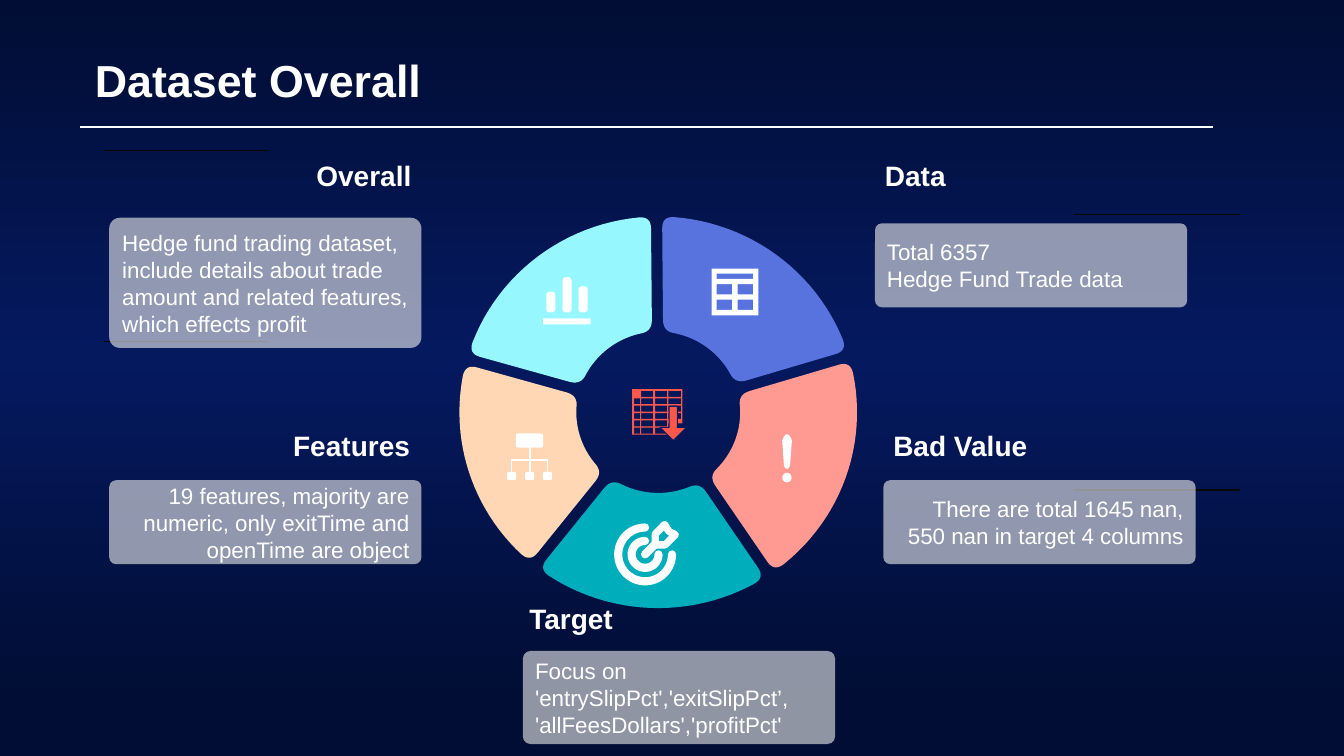
from copy import deepcopy
from math import asin, cos, pi, radians, sin

from pptx import Presentation
from pptx.dml.color import RGBColor
from pptx.enum.shapes import MSO_SHAPE
from pptx.enum.text import MSO_ANCHOR, PP_ALIGN
from pptx.oxml.ns import qn
from pptx.oxml.xmlchemy import OxmlElement
from pptx.util import Pt

RECT, ROUND, OVAL = MSO_SHAPE.RECTANGLE, MSO_SHAPE.ROUNDED_RECTANGLE, MSO_SHAPE.OVAL
DOWN = MSO_SHAPE.DOWN_ARROW
LEFT, RIGHT = PP_ALIGN.LEFT, PP_ALIGN.RIGHT
MIDDLE, BOTTOM = MSO_ANCHOR.MIDDLE, MSO_ANCHOR.BOTTOM

WHITE = RGBColor(0xFF, 0xFF, 0xFF)
INK = RGBColor(0x08, 0x08, 0x08)
NAVY = RGBColor(0x01, 0x0D, 0x34)
BLUE = RGBColor(0x05, 0x19, 0x5F)
PANEL = RGBColor(0xF0, 0xF0, 0xF0)
RED = RGBColor(0xFF, 0x57, 0x49)
AQUA = RGBColor(0x97, 0xF7, 0xFF)
INDIGO = RGBColor(0x58, 0x73, 0xDE)
CORAL = RGBColor(0xFF, 0x9A, 0x92)
TEAL = RGBColor(0x00, 0xAD, 0xBB)
PEACH = RGBColor(0xFF, 0xD7, 0xB4)

# Content: heading, its left and top, panel left, top and height, both alignments, lines
TITLE = "Dataset Overall"
TOPICS = [
    ("Overall", 151, 110, 78, 155.5, 93, RIGHT, LEFT,
     ["Hedge fund trading dataset, include details about trade amount "
      "and related features, which effects profit"]),
    ("Data", 625, 109.5, 625, 159.5, 60, LEFT, LEFT,
     ["Total 6357", "Hedge Fund Trade data"]),
    ("Features", 150, 302.5, 78, 343, 60, RIGHT, RIGHT,
     ["19 features, majority are numeric, only exitTime and openTime are object"]),
    ("Bad Value", 631, 302.5, 631, 343, 60, LEFT, RIGHT,
     ["There are total 1645 nan,", "550 nan in target 4 columns"]),
    ("Target", 371, 426, 373.5, 465, 66.5, LEFT, LEFT,
     ["Focus on 'entrySlipPct','exitSlipPct’,", "'allFeesDollars','profitPct'"]),
]
# Thin rules: left, right, height, width, colour
RULES = [(57.5, 866.5, 90.5, 1.5, WHITE)] + [
    (x, x + 118, y, 0.75, INK)
    for x, y in [(74, 107.5), (74, 244), (767.5, 153.5), (767.5, 350)]]
# Ring sectors: start and end in degrees, clockwise from the right
SECTORS = [(-90.5, -16.7, INDIGO), (-16.7, 56, CORAL), (56, 128.5, TEAL),
           (128.5, 195.8, PEACH), (195.8, 269.5, AQUA)]
MID_X, MID_Y, OUTER, INNER = 470.2, 294.5, 142, 58.5
SQUASH, GAP, CORNER = 0.985, 4, 8.5

deck = Presentation()
deck.slide_width, deck.slide_height = Pt(960), Pt(540)
slide = deck.slides.add_slide(deck.slide_layouts[5])
shapes = slide.shapes


def add_text(frame, lines, size, align, bold=False):
    frame.word_wrap = True
    for i, line in enumerate(lines):
        para = frame.paragraphs[0] if i == 0 else frame.add_paragraph()
        para.text, para.alignment = line, align
        font = para.font
        font.name, font.size, font.bold = "Arial", Pt(size), bold
        font.color.rgb = WHITE


def add_box(kind, x, y, w, h, color=WHITE, adj=None):
    box = shapes.add_shape(kind, Pt(x), Pt(y), Pt(w), Pt(h))
    box.shadow.inherit = False
    box.fill.solid()
    box.fill.fore_color.rgb = color
    box.line.fill.background()
    if adj is not None:
        box.adjustments[0] = adj
    return box


def draw(paths, closed=True):
    paths = [[(Pt(x), Pt(y)) for x, y in path] for path in paths]
    pen = shapes.build_freeform(*paths[0][0], scale=1)
    for i, path in enumerate(paths):
        if i:
            pen.move_to(*path[0])
        pen.add_line_segments(path[1:], close=closed)
    form = pen.convert_to_shape()
    form.shadow.inherit = False
    return form


def fill_form(paths, color):
    form = draw(paths)
    form.fill.solid()
    form.fill.fore_color.rgb = color
    form.line.fill.background()


def stroke(path, width, closed=False):
    form = draw([path], closed)
    form.fill.background()
    form.line.color.rgb, form.line.width = WHITE, Pt(width)
    form.line._get_or_add_ln().set("cap", "rnd")


def block(x, y, w, h):
    return [(x, y), (x + w, y), (x + w, y + h), (x, y + h)]


def polar(r, a):
    return MID_X + r * cos(a), MID_Y + SQUASH * r * sin(a)


def arc(r, a, b, steps=24):
    return [polar(r, a + (b - a) * i / steps) for i in range(steps + 1)]


def bend(p, q, s, steps=8):
    """Quadratic curve from p to s, pulled towards the corner q."""
    ts = [i / steps for i in range(steps + 1)]
    return [tuple((1 - t) ** 2 * a + 2 * t * (1 - t) * b + t * t * c
                  for a, b, c in zip(p, q, s)) for t in ts]


def sector(start, end):
    def lo(r):
        return radians(start) + asin(GAP / r)

    def hi(r):
        return radians(end) - asin(GAP / r)

    def turn(r, side, sign, inward):
        on_arc = polar(r, side(r) + sign * CORNER / r)
        on_edge = polar(r + inward, side(r + inward))
        return bend(on_arc, polar(r, side(r)), on_edge)

    far, near = CORNER / OUTER, CORNER / INNER
    return (arc(OUTER, lo(OUTER) + far, hi(OUTER) - far)
            + turn(OUTER, hi, -1, -CORNER) + turn(INNER, hi, -1, CORNER)[::-1]
            + arc(INNER, hi(INNER) - near, lo(INNER) + near)
            + turn(INNER, lo, 1, CORNER) + turn(OUTER, lo, 1, -CORNER)[::-1])


# Background
back = slide.background.fill
back.gradient()
back.gradient_angle = 270
stops = back.gradient_stops
for stop, color, pos in zip(stops, (NAVY, BLUE), (0, 0.47)):
    stop.color.rgb, stop.position = color, pos
items = slide.element.find(".//" + qn("a:gsLst"))
last = deepcopy(items[0])
last.set("pos", "93000")
items.append(last)

# Title
title = shapes.title
title.left, title.top, title.width, title.height = Pt(60.5), Pt(0), Pt(855), Pt(80.5)
title.text_frame.vertical_anchor = BOTTOM
add_text(title.text_frame, [TITLE], 32, LEFT, True)
title.text_frame.paragraphs[0].line_spacing = 0.9

# Rules
for x, end, y, width, color in RULES:
    rule = shapes.add_connector(1, Pt(x), Pt(y), Pt(end), Pt(y))
    rule.line.color.rgb, rule.line.width = color, Pt(width)
    rule._element.spPr.append(OxmlElement("a:effectLst"))

# Ring
for start, end, color in SECTORS:
    fill_form([sector(start, end)], color)

# Headings and panels
for head, x, y, left, top, high, side, align, lines in TOPICS:
    label = shapes.add_textbox(Pt(x), Pt(y), Pt(150), Pt(31.5))
    add_text(label.text_frame, [head], 20, side, True)
    panel = add_box(ROUND, left, top, 223, high, PANEL, 0.082)
    alpha = OxmlElement("a:alpha")
    alpha.set("val", "60000")
    panel.element.spPr.find(".//" + qn("a:srgbClr")).append(alpha)
    panel.text_frame.vertical_anchor = MIDDLE
    add_text(panel.text_frame, lines, 16, align)

# Centre icon: sheet with arrow
cols = [(452.9, 4.3), (458, 8.6), (468, 8.6), (477.4, 9.2)]
sheet = [[(451.5, 278), (487.5, 278), (487.5, 302.4), (477.4, 302.4),
          (477.4, 310.4), (451.5, 310.4)]]
sheet += [block(x, 279.3 + 5.25 * row, w, 4.2)
          for row in range(6) for col, (x, w) in enumerate(cols)
          if (row or col) and not (col == 3 and row > 3)]
fill_form(sheet, RED)
arrow = add_box(DOWN, 471.6, 290.2, 18.7, 24.5, RED, 0.32)
arrow.line.color.rgb, arrow.line.width = BLUE, Pt(0.75)

# Bar icon
for x, y in [(390.2, 208.3), (401.8, 198), (413.3, 204.5)]:
    add_box(ROUND, x, y, 6.5, 223.2 - y, adj=0.35)
add_box(RECT, 388, 227.5, 34, 4.3)

# Table icon
fill_form([block(508.3, 192, 33.4, 33.4), block(512, 195.6, 26, 3.7)]
          + [block(x, y, 11, 7.4) for x in (512, 527) for y in (203, 214)], WHITE)

# Tree icon
add_box(ROUND, 368.6, 309.6, 19.4, 10.2, adj=0.15)
for x in (362.2, 375.1, 387.7):
    add_box(ROUND, x, 337, 6.5, 5.8, adj=0.2)
stroke([(365.5, 337), (365.5, 328.5), (391, 328.5), (391, 337)], 1.2)
stroke([(378.4, 319.8), (378.4, 337)], 1.2)

# Exclamation icon
fill_form([bend((558.7, 314.5), (562.1, 306), (565.7, 314.5))
           + bend((564.3, 332.8), (562.1, 337), (560, 332.8))], WHITE)
add_box(OVAL, 558.8, 337.7, 6.7, 6.9)

# Target icon
for r in (19.2, 9.6):
    turns = [i * pi / 32 for i in range(49)]
    stroke([(460.8 + r * cos(a), 396 + r * sin(a)) for a in turns], 5.8)
stroke([(460.8, 396), (468, 388.8)], 5.8)
stroke([(468, 381.6), (474.8, 374.6), (477.7, 379.4),
        (482.4, 382), (475.2, 389.2), (468, 389.2)], 5.2, True)

deck.save("out.pptx")
